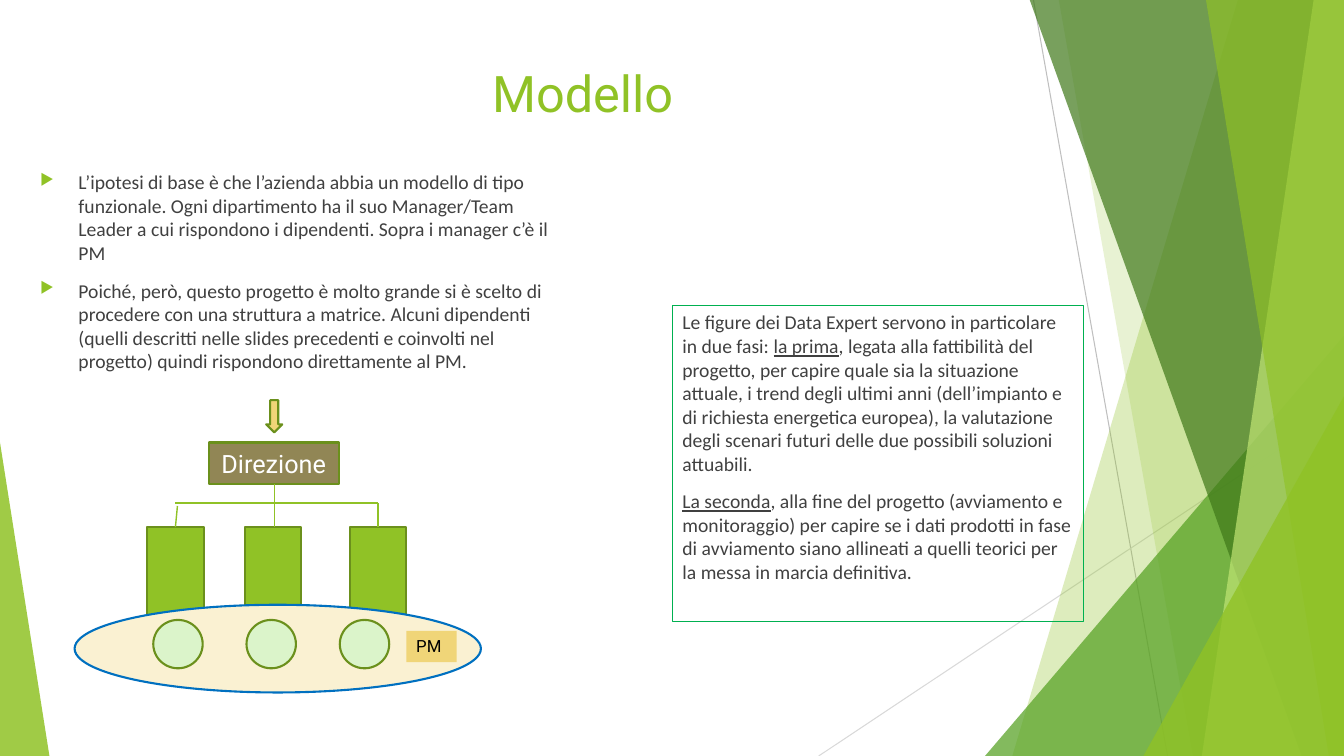
from lxml.etree import SubElement
from pptx import Presentation
from pptx.dml.color import RGBColor
from pptx.enum.shapes import MSO_CONNECTOR, MSO_SHAPE
from pptx.enum.text import MSO_ANCHOR, PP_ALIGN
from pptx.oxml.ns import qn
from pptx.util import Inches, Pt

LIME = RGBColor(0x90, 0xC2, 0x26)
GREEN = RGBColor(0x54, 0xA0, 0x21)
DARK = RGBColor(0x3F, 0x78, 0x19)
PALE = RGBColor(0xC0, 0xE4, 0x74)
EDGE = RGBColor(0x6B, 0x90, 0x1C)
FRAME = RGBColor(0x00, 0xB0, 0x50)
BLUE = RGBColor(0x00, 0x70, 0xC0)
CREAM = RGBColor(0xFA, 0xF1, 0xD2)
MINT = RGBColor(0xDB, 0xF4, 0xCA)
GOLD = RGBColor(0xF0, 0xD5, 0x78)
BROWN = RGBColor(0x91, 0x86, 0x55)
GREY = RGBColor(0xBF, 0xBF, 0xBF)
LIGHT = RGBColor(0xD9, 0xD9, 0xD9)
INK = RGBColor(0x40, 0x40, 0x40)
WHITE = RGBColor(0xFF, 0xFF, 0xFF)
BLACK = RGBColor(0, 0, 0)

WIDE, HIGH, TOP = 13.33, 7.5, -0.01

POINTS = [
    "L’ipotesi di base è che l’azienda abbia un modello di tipo funzionale. "
    "Ogni dipartimento ha il suo Manager/Team Leader a cui rispondono i "
    "dipendenti. Sopra i manager c’è il PM",
    "Poiché, però, questo progetto è molto grande si è scelto di procedere con "
    "una struttura a matrice. Alcuni dipendenti (quelli descritti nelle slides "
    "precedenti e coinvolti nel progetto) quindi rispondono direttamente al PM.",
]
# Each phase: text before, underlined text, text after
PHASES = [
    ("Le figure dei Data Expert servono in particolare in due fasi: ", "la prima",
     ", legata alla fattibilità del progetto, per capire quale sia la situazione "
     "attuale, i trend degli ultimi anni (dell’impianto e di richiesta energetica "
     "europea), la valutazione degli scenari futuri delle due possibili soluzioni "
     "attuabili."),
    ("", "La seconda",
     ", alla fine del progetto (avviamento e monitoraggio) per capire se i dati "
     "prodotti in fase di avviamento siano allineati a quelli teorici per la "
     "messa in marcia definitiva."),
]


def paint(shape, fill=None, line=None, width=1.5, alpha=100):
    shape.shadow.inherit = False
    if fill is None:
        shape.fill.background()
    else:
        shape.fill.solid()
        shape.fill.fore_color.rgb = fill
        if alpha < 100:
            tint = shape.fill._xPr.find(qn("a:solidFill"))[0]
            SubElement(tint, qn("a:alpha"), val=str(alpha * 1000))
    if line is None:
        shape.line.fill.background()
    else:
        shape.line.color.rgb = line
        shape.line.width = Pt(width)


def add_form(slide, kind, box, adjust=None, **look):
    shape = slide.shapes.add_shape(kind, *map(Inches, box))
    if adjust is not None:
        shape.adjustments[0] = adjust
    paint(shape, **look)
    return shape


def add_band(slide, top, base, color, alpha):
    """Band from a slanted left side to the right edge of the slide."""
    build = slide.shapes.build_freeform(Inches(top), Inches(TOP))
    corners = [(WIDE, TOP), (WIDE, HIGH), (base, HIGH)]
    build.add_line_segments([(Inches(x), Inches(y)) for x, y in corners])
    paint(build.convert_to_shape(), color, alpha=alpha)


def add_line(slide, start, end, color, width=1):
    line = slide.shapes.add_connector(
        MSO_CONNECTOR.STRAIGHT, *map(Inches, start + end))
    line.line.color.rgb = color
    line.line.width = Pt(width)
    SubElement(line._element.spPr, qn("a:effectLst"))


def add_text(slide, box):
    shape = slide.shapes.add_textbox(*map(Inches, box))
    shape.text_frame.word_wrap = True
    return shape


def style(part, size, font, color, align=PP_ALIGN.LEFT):
    part.alignment = align
    for run in part.runs:
        run.font.size = Pt(size)
        run.font.name = font
        run.font.color.rgb = color


def label(shape, text, size, color, align, anchor=MSO_ANCHOR.MIDDLE):
    frame = shape.text_frame
    frame.text = text
    frame.word_wrap = True
    frame.vertical_anchor = anchor
    style(frame.paragraphs[0], size, "Roboto", color, align)


def add_parts(frame, count):
    """Give the frame the asked number of spaced paragraphs."""
    parts = [frame.paragraphs[0]]
    parts += [frame.add_paragraph() for _ in range(count - 1)]
    for part in parts:
        part.space_before = Pt(10)
    return parts


def add_bullet(part):
    props = part._p.get_or_add_pPr()
    props.set("marL", str(Inches(0.38)))
    props.set("indent", str(Inches(-0.38)))
    color = SubElement(props, qn("a:buClr"))
    SubElement(color, qn("a:srgbClr"), val=str(LIME))
    SubElement(props, qn("a:buSzPct"), val="80000")
    SubElement(props, qn("a:buChar"), char="▶")


def draw_back(slide):
    add_line(slide, (10.25, 0), (11.58, HIGH), GREY, 0.75)
    add_line(slide, (WIDE, 4.03), (8.12, HIGH), LIGHT, 0.75)
    wedge = MSO_SHAPE.ISOSCELES_TRIANGLE
    add_band(slide, 12.28, 10.04, LIME, 30)
    add_band(slide, 10.5, 11.83, LIME, 20)
    add_form(slide, wedge, (9.77, 3.33, 3.56, 4.17), 1, fill=GREEN, alpha=72)
    add_band(slide, 10.21, 12.91, DARK, 70)
    add_band(slide, 13.03, 11.92, PALE, 70)
    add_band(slide, 11.96, 13.18, LIME, 65)
    add_form(slide, wedge, (11.34, 3.93, 1.99, 3.57), 1, fill=LIME, alpha=80)
    add_form(slide, wedge, (0, 4.39, 0.49, 3.11), 0, fill=LIME, alpha=85)


def draw_texts(slide):
    title = add_text(slide, (1.08, 0.57, 9.4, 1.03))
    label(title, "Modello", 36, LIME, PP_ALIGN.CENTER, MSO_ANCHOR.TOP)

    # Framed text on the phases
    phase_box = add_text(slide, (6.67, 3.03, 4.08, 3.14))
    phase_box.line.color.rgb = FRAME
    phase_box.line.width = Pt(0.75)
    parts = add_parts(phase_box.text_frame, len(PHASES))
    for part, (lead, key, rest) in zip(parts, PHASES):
        for text in filter(None, (lead, key, rest)):
            run = part.add_run()
            run.text = text
            run.font.underline = text == key
        style(part, 14, "Calibri", INK)

    # Bullet list
    list_box = add_text(slide, (0.3, 1.64, 5.41, 2.45))
    for part, text in zip(add_parts(list_box.text_frame, len(POINTS)), POINTS):
        part.text = text
        style(part, 14, "Calibri", INK)
        add_bullet(part)


def draw_chart(slide):
    rect, oval = MSO_SHAPE.RECTANGLE, MSO_SHAPE.OVAL
    # Departments and head office
    for left in (1.46, 2.43, 3.47):
        add_form(slide, rect, (left, 5.23, 0.56, 1.21), fill=LIME, line=EDGE)
    head = add_form(slide, rect, (2.07, 4.39, 1.29, 0.41), fill=BROWN, line=EDGE)
    label(head, "Direzione", 18, WHITE, PP_ALIGN.CENTER)

    # Project team across the departments
    add_form(slide, oval, (0.74, 6, 4.03, 0.87), fill=CREAM, line=BLUE)
    for i in range(3):
        box = (1.52 + i * 0.925, 6.15, 0.49, 0.48)
        add_form(slide, oval, box, fill=MINT, line=EDGE)
    lead = add_form(slide, rect, (4.03, 6.26, 0.5, 0.31), fill=GOLD)
    label(lead, "PM", 12, BLACK, PP_ALIGN.LEFT, MSO_ANCHOR.TOP)

    # Arrow and links
    add_form(slide, MSO_SHAPE.DOWN_ARROW, (2.64, 3.97, 0.16, 0.32),
             fill=GOLD, line=EDGE)
    for start, end in [((2.72, 4.8), (2.72, 5.23)), ((1.74, 4.99), (3.75, 4.99)),
                       ((1.76, 5.02), (1.74, 5.23)), ((3.75, 4.99), (3.75, 5.23))]:
        add_line(slide, start, end, LIME)


def main():
    deck = Presentation()
    deck.slide_width, deck.slide_height = Inches(WIDE), Inches(HIGH)
    slide = deck.slides.add_slide(deck.slide_layouts[6])
    draw_back(slide)
    draw_texts(slide)
    draw_chart(slide)
    deck.save("out.pptx")


main()
